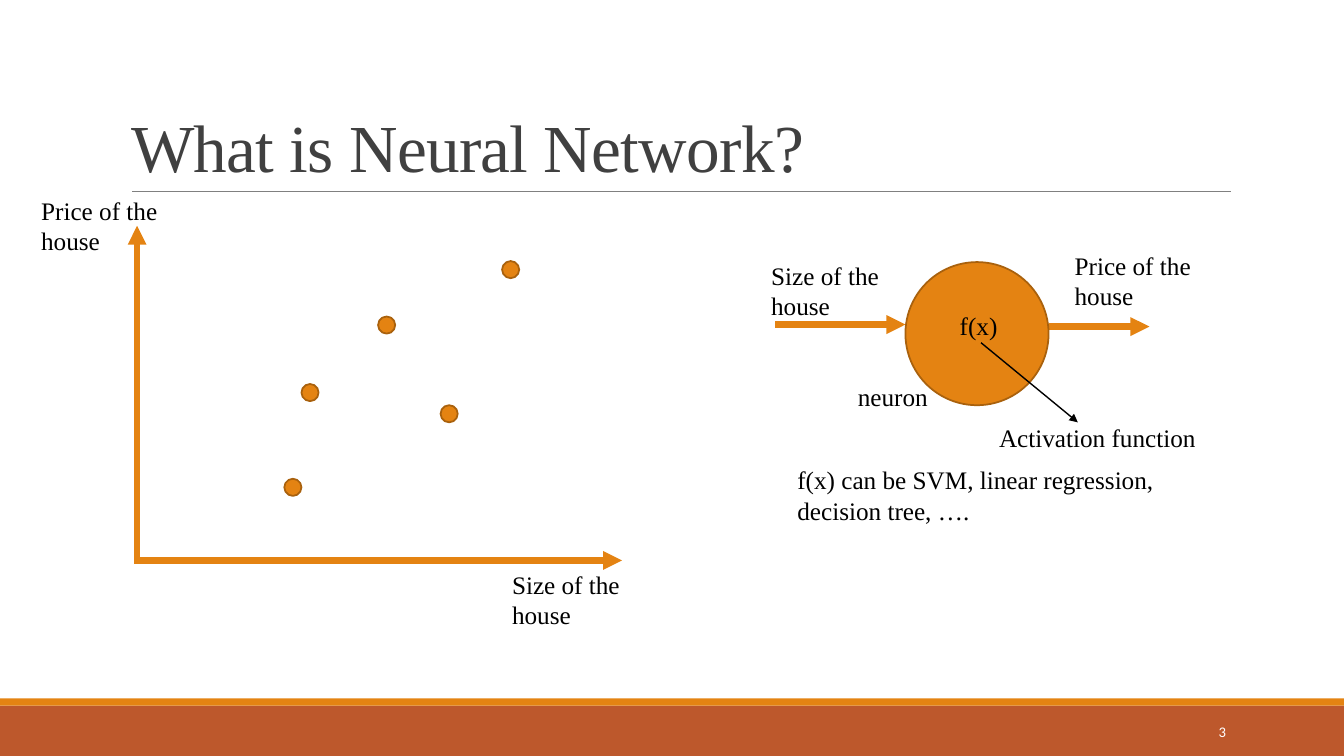
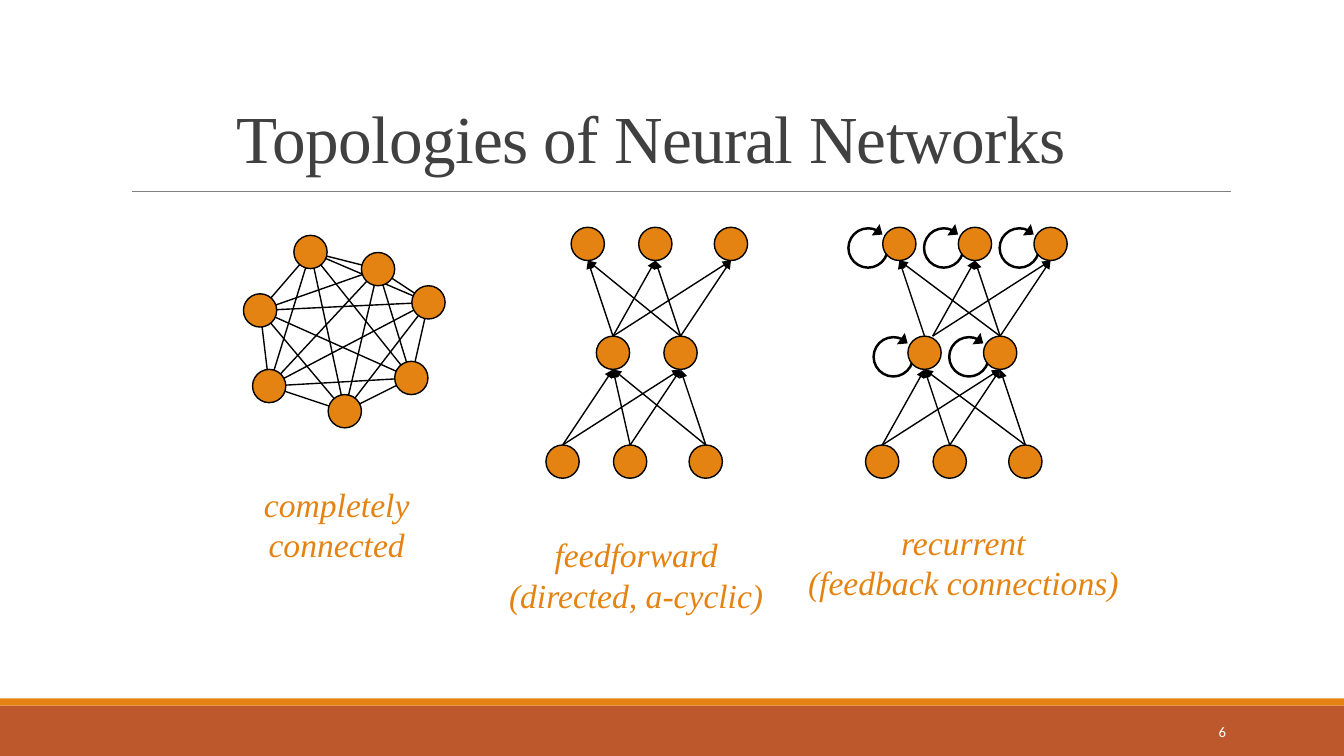
from dataclasses import dataclass
from itertools import combinations, product

from lxml.etree import SubElement
from pptx import Presentation
from pptx.dml.color import RGBColor
from pptx.enum.shapes import MSO_CONNECTOR, MSO_SHAPE
from pptx.enum.text import MSO_ANCHOR as Anchor, MSO_AUTO_SIZE as AutoSize, PP_ALIGN as Align
from pptx.oxml.ns import qn
from pptx.util import Inches, Pt


@dataclass(frozen=True)
class Theme:
    orange: str = "E48312"
    outline: str = "A9610D"
    rust: str = "BD582C"
    rule: str = "808080"
    title: str = "404040"
    black: str = "000000"
    white: str = "FFFFFF"
    serif: str = "Times New Roman"
    sans: str = "Calibri"
    title_size: float = 48
    body_size: float = 18
    caption_size: float = 24
    number_size: float = 10.5
    thick: float = 4.5
    edge: float = 1.25
    thin: float = 1
    loop: float = 1.75
    hairline: float = 0.5


THEME = Theme()
NODE = 0.33
DOT = 0.17

BANDS = [((0, 7, 13.33, 0.5), THEME.rust), ((0, 6.93, 13.33, 0.07), THEME.orange)]
TITLE_RULE = ((1.31, 1.9), (12.21, 1.9))
NUMBER_BOX = (10.83, 7.06, 1.43, 0.4)

HOUSE = {
    "title": "What is Neural Network?",
    "title_box": (1.2, 0.31, 11, 1.59),
    "number": "3",
    "arrows": [
        ((1.33, 5.56), (6.17, 5.56)),
        ((1.36, 5.56), (1.36, 2.24)),
        ((7.69, 3.22), (8.98, 3.22)),
        ((10.4, 3.24), (11.4, 3.24)),
    ],
    "dots": [(2.82, 4.75), (3.75, 3.14), (4.98, 2.59), (2.99, 3.81), (4.37, 4.02)],
    "neuron": (8.98, 2.6, 1.42, 1.42),
    "pointer": ((9.73, 3.4), (10.69, 4.19)),
    "labels": [
        ("Size of the house", (4.98, 5.6, 1.58, 0.71)),
        ("Price of the house", (0.31, 1.89, 1.58, 0.71)),
        ("Size of the house", (7.55, 2.53, 1.58, 0.71)),
        ("Price of the house", (10.56, 2.43, 1.58, 0.71)),
        ("f(x)", (9.42, 3.03, 0.64, 0.4)),
        ("neuron", (8.41, 3.73, 1.01, 0.4)),
        ("f(x) can be SVM, linear regression, decision tree, ….", (7.81, 4.56, 4.49, 0.71)),
        ("Activation function", (9.81, 4.14, 2.18, 0.4)),
    ],
}

TOPOLOGIES = {
    "title": "Topologies of Neural Networks",
    "title_box": (2.25, 0.56, 8.83, 1.25),
    "number": "6",
    "complete": {
        "nodes": [(3.08, 2.5), (3.42, 4.08), (2.58, 3.08), (3.75, 2.67),
                  (4.08, 3.75), (4.25, 3), (2.67, 3.83)],
        "caption": ("completely\nconnected", (2.51, 4.75, 1.66, 0.91)),
    },
    "layered": [
        {
            "layers": [(5.58, 6.25, 7), (6.08, 6.75), (5.83, 6.5, 7.25)],
            "caption": ("feedforward\n(directed, a-cyclic)", (4.94, 5.25, 2.74, 0.91)),
            "looped": False,
            "start_shifts": {},
        },
        {
            "layers": [(8.75, 9.42, 10.17), (9.17, 9.92), (8.92, 9.67, 10.42)],
            "caption": ("recurrent\n(feedback connections)", (7.9, 5.13, 3.31, 0.91)),
            "looped": True,
            "start_shifts": {(9.17, 9.67): 0.08, (9.17, 10.42): 0.08},
        },
    ],
}
LAYER_CENTERS = (4.58, 3.5, 2.42)
LOOP_OFFSET = (-0.31, 0.04)
LOOP_SIZE = 0.39
LOOP_ANGLES = (334, 317)
ANGLE_UNIT = 0.6


def inches(values):
    return [Inches(value) for value in values]


def color(value):
    return RGBColor.from_string(value)


def write(frame, text, size=THEME.body_size, font=THEME.serif, ink=THEME.black, italic=None,
          align=Align.LEFT, anchor=Anchor.TOP, wrap=True, line_spacing=None, tracking=None):
    frame.word_wrap = wrap
    frame.auto_size = AutoSize.NONE
    frame.vertical_anchor = anchor
    frame.text = text
    for paragraph in frame.paragraphs:
        paragraph.alignment = align
        paragraph.line_spacing = line_spacing
        for run in paragraph.runs:
            run.font.size = Pt(size)
            run.font.name = font
            run.font.italic = italic
            run.font.color.rgb = color(ink)
            if tracking is not None:
                run.font._element.set("spc", str(int(tracking * 100)))


def add_text(shapes, text, box, **style):
    write(shapes.add_textbox(*inches(box)).text_frame, text, **style)


def add_shape(shapes, kind, box, fill=None, line=None, width=THEME.thin):
    shape = shapes.add_shape(kind, *inches(box))
    shape.shadow.inherit = False
    if fill is None:
        shape.fill.background()
    else:
        shape.fill.solid()
        shape.fill.fore_color.rgb = color(fill)
    if line is None:
        shape.line.fill.background()
    else:
        shape.line.color.rgb = color(line)
        shape.line.width = Pt(width)
    return shape


def add_arrowhead(shape, **size):
    SubElement(shape.element.spPr.find(qn("a:ln")), qn("a:tailEnd"), type="triangle", **size)


def add_line(shapes, start, end, ink=THEME.black, width=THEME.thin, arrow=False):
    connector = shapes.add_connector(MSO_CONNECTOR.STRAIGHT, *inches((*start, *end)))
    connector.line.color.rgb = color(ink)
    connector.line.width = Pt(width)
    if arrow:
        add_arrowhead(connector)
    SubElement(connector.element.spPr, qn("a:effectLst"))
    return connector


def centered_box(center, size):
    x, y = center
    return x - size / 2, y - size / 2, size, size


def add_node(shapes, center):
    add_shape(shapes, MSO_SHAPE.OVAL, centered_box(center, NODE), THEME.orange, line=THEME.black)


def add_loop(shapes, node):
    center = [value + offset for value, offset in zip(node, LOOP_OFFSET)]
    loop = add_shape(shapes, MSO_SHAPE.ARC, centered_box(center, LOOP_SIZE),
                     line=THEME.black, width=THEME.loop)
    for index, angle in enumerate(LOOP_ANGLES):
        loop.adjustments[index] = angle * ANGLE_UNIT
    add_arrowhead(loop, w="lg", len="med")


def add_caption(shapes, caption):
    add_text(shapes, *caption, size=THEME.caption_size, ink=THEME.orange, italic=True,
             align=Align.CENTER, wrap=False)


def add_complete(shapes, network):
    for start, end in combinations(network["nodes"], 2):
        add_line(shapes, start, end)
    for center in network["nodes"]:
        add_node(shapes, center)
    add_caption(shapes, network["caption"])


def add_layered(shapes, network):
    layers = list(zip(network["layers"], LAYER_CENTERS))
    for (lower, lower_y), (upper, upper_y) in zip(layers, layers[1:]):
        for start, end in product(lower, upper):
            shift = network["start_shifts"].get((start, end), 0)
            add_line(shapes, (start + shift, lower_y - NODE / 2),
                     (end, upper_y + NODE / 2), arrow=True)
    if network["looped"]:
        for centers, y in layers[1:]:
            for x in centers:
                add_loop(shapes, (x, y))
    for centers, y in layers:
        for x in centers:
            add_node(shapes, (x, y))
    add_caption(shapes, network["caption"])


def add_slide(presentation, content):
    slide = presentation.slides.add_slide(presentation.slide_layouts[5])
    title = slide.shapes.title
    title.left, title.top, title.width, title.height = inches(content["title_box"])
    write(title.text_frame, content["title"], size=THEME.title_size, ink=THEME.title,
          anchor=Anchor.BOTTOM, line_spacing=0.85, tracking=-0.5)
    add_text(slide.shapes, content["number"], NUMBER_BOX, size=THEME.number_size,
             font=THEME.sans, ink=THEME.white, align=Align.RIGHT, anchor=Anchor.MIDDLE)
    return slide


def share_decoration(slide):
    parts = [add_shape(slide.shapes, MSO_SHAPE.RECTANGLE, box, fill) for box, fill in BANDS]
    parts.append(add_line(slide.shapes, *TITLE_RULE, ink=THEME.rule, width=THEME.hairline))
    for part in parts:
        slide.slide_layout.shapes.element.append(part.element)


def fill_house(slide):
    shapes = slide.shapes
    for start, end in HOUSE["arrows"]:
        add_line(shapes, start, end, ink=THEME.orange, width=THEME.thick, arrow=True)
    ovals = [(x, y, DOT, DOT) for x, y in HOUSE["dots"]] + [HOUSE["neuron"]]
    for box in ovals:
        add_shape(shapes, MSO_SHAPE.OVAL, box, THEME.orange,
                  line=THEME.outline, width=THEME.edge)
    add_line(shapes, *HOUSE["pointer"], arrow=True)
    for text, box in HOUSE["labels"]:
        add_text(shapes, text, box)


def fill_topologies(slide):
    add_complete(slide.shapes.add_group_shape().shapes, TOPOLOGIES["complete"])
    for network in TOPOLOGIES["layered"]:
        add_layered(slide.shapes.add_group_shape().shapes, network)


def main():
    presentation = Presentation()
    presentation.slide_width, presentation.slide_height = inches((13.33, 7.5))
    house = add_slide(presentation, HOUSE)
    share_decoration(house)
    fill_house(house)
    fill_topologies(add_slide(presentation, TOPOLOGIES))
    presentation.save("out.pptx")


if __name__ == "__main__":
    main()
